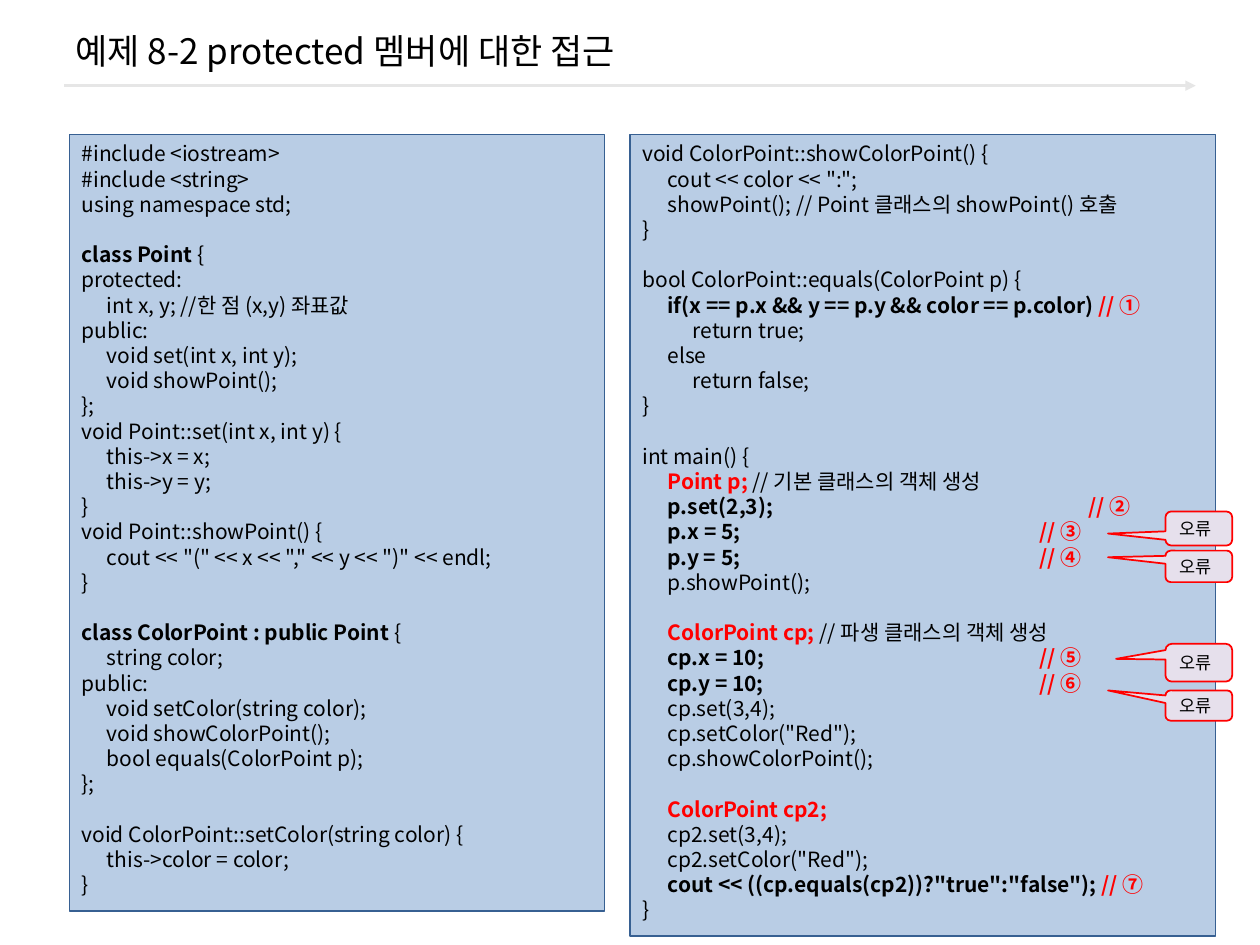
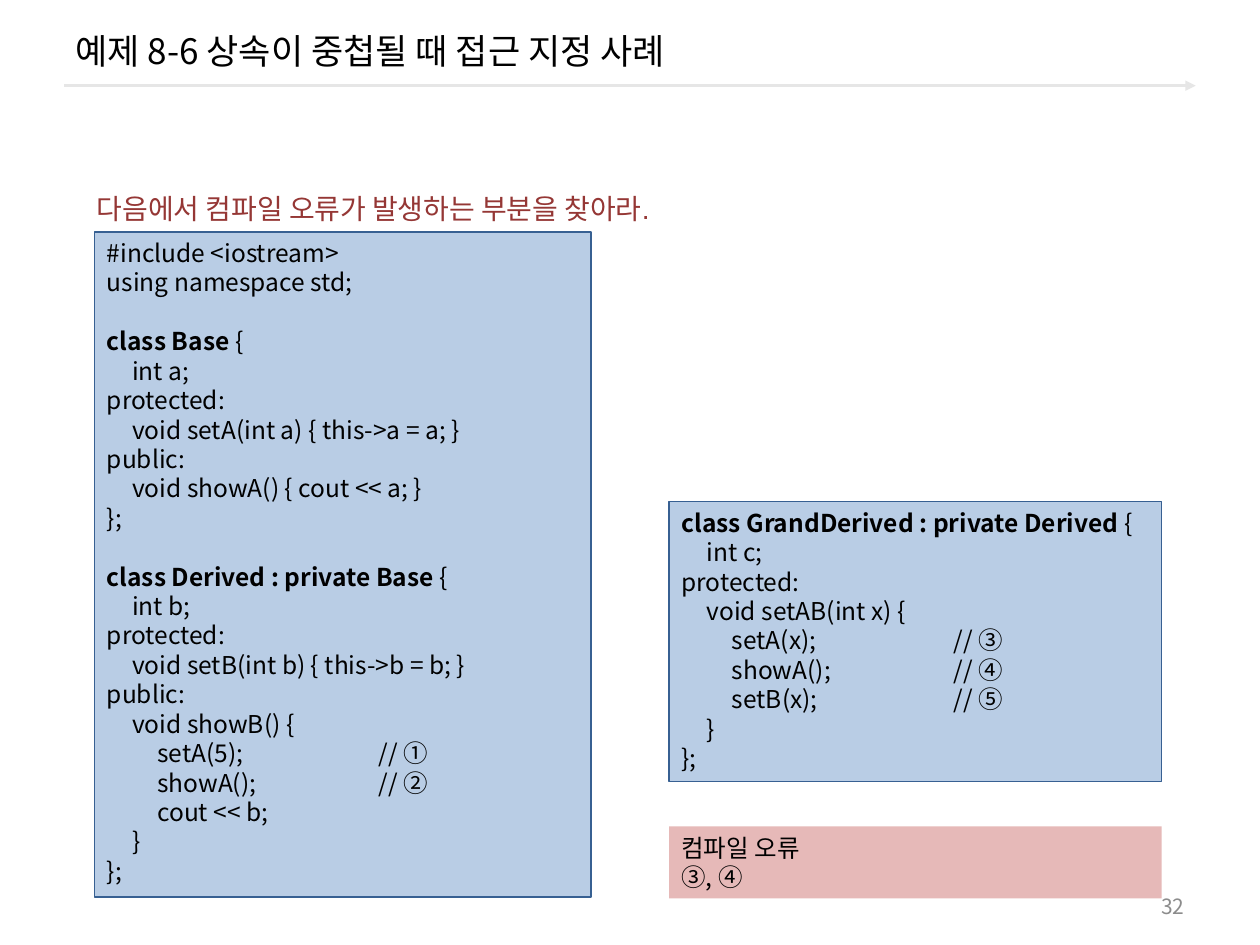
from lxml import etree
from pptx import Presentation
from pptx import util as u
from pptx.dml import color
from pptx.enum import shapes, text
from pptx.oxml import ns

FONT = "Noto Sans CJK KR"
BLACK, RED, GREY, MAROON = "000000", "FF0000", "8C8C8C", "953735"
RULE, CODE_FILL, CODE_LINE = "E6E6E6", "B9CDE5", "376092"
CALLOUT_FILL, ANSWER_FILL = "E6E0EC", "E6B9B8"
TAB = 0.2

POINT_CLASSES = [
    "#include <iostream>",
    "#include <string>",
    "using namespace std;",
    "",
    [("class Point ", "b"), ("{", "")],
    "protected:",
    "\tint x, y; //한 점 (x,y) 좌표값",
    "public:",
    "\tvoid set(int x, int y);",
    "\tvoid showPoint();",
    "};",
    "void Point::set(int x, int y) {",
    "\tthis->x = x;",
    "\tthis->y = y;",
    "}",
    "void Point::showPoint() {",
    '\tcout << "(" << x << "," << y << ")" << endl;',
    "}",
    "",
    [("class ColorPoint : public Point ", "b"), ("{", "")],
    "\tstring color;",
    "public:",
    "\tvoid setColor(string color);",
    "\tvoid showColorPoint();",
    "\tbool equals(ColorPoint p);",
    "};",
    "",
    "void ColorPoint::setColor(string color) {",
    "\tthis->color = color;",
    "}",
]

POINT_MAIN = [
    "void ColorPoint::showColorPoint() {",
    '\tcout << color << ":";',
    "\tshowPoint(); // Point 클래스의 showPoint() 호출",
    "}",
    "",
    "bool ColorPoint::equals(ColorPoint p) {",
    [("\tif(x == p.x && y == p.y && color == p.color) ", "b"), ("// ①", "r")],
    "\t\treturn true;",
    "\telse",
    "\t\treturn false;",
    "}",
    "",
    "int main() {",
    [("\tPoint p; ", "r"), ("// 기본 클래스의 객체 생성", "")],
    [("\tp.set(2,3);\t\t", "b"), ("// ②", "r")],
    [("\tp.x = 5;\t", "b"), ("// ③", "r")],
    [("\tp.y = 5;\t", "b"), ("// ④", "r")],
    "\tp.showPoint();",
    "",
    [("\tColorPoint cp; ", "r"), ("// 파생 클래스의 객체 생성", "")],
    [("\tcp.x = 10;\t", "b"), ("// ⑤", "r")],
    [("\tcp.y = 10;\t", "b"), ("// ⑥", "r")],
    "\tcp.set(3,4);",
    '\tcp.setColor("Red");',
    "\tcp.showColorPoint();",
    "",
    [("\tColorPoint cp2;", "r")],
    "\tcp2.set(3,4);",
    '\tcp2.setColor("Red");',
    [('\tcout << ((cp.equals(cp2))?"true":"false"); ', "b"), ("// ⑦", "r")],
    "}",
]

BASE_AND_DERIVED = [
    "#include <iostream>",
    "using namespace std;",
    "",
    [("class Base ", "b"), ("{", "")],
    "\tint a;",
    "protected:",
    "\tvoid setA(int a) { this->a = a; }",
    "public:",
    "\tvoid showA() { cout << a; }",
    "};",
    "",
    [("class Derived : private Base ", "b"), ("{", "")],
    "\tint b;",
    "protected:",
    "\tvoid setB(int b) { this->b = b; }",
    "public:",
    "\tvoid showB() {",
    "\t\tsetA(5);\t// ①",
    "\t\tshowA();\t// ②",
    "\t\tcout << b;",
    "\t}",
    "};",
]

GRAND_DERIVED = [
    [("class GrandDerived : private Derived ", "b"), ("{", "")],
    "\tint c;",
    "protected:",
    "\tvoid setAB(int x) {",
    "\t\tsetA(x);\t// ③",
    "\t\tshowA();\t// ④",
    "\t\tsetB(x);\t// ⑤",
    "\t}",
    "};",
]

ERROR_CALLOUTS = [
    (4.06, 0.27, -1.36, 0.15),
    (5.11, 0.3, -1.24, -0.1),
    (4.37, 0.25, -1.36, -0.29),
    (5.48, 0.24, -1.36, -0.5),
]


def rgb(value):
    return color.RGBColor.from_string(value)


def inches(values):
    return [u.Inches(v) for v in values]


def add_run(p, words, size, ink=BLACK, bold=False, font=FONT):
    r = p.add_run()
    r.text = words
    r.font.name, r.font.size, r.font.bold = font, u.Pt(size), bold
    r.font.color.rgb = rgb(ink)
    ea = etree.SubElement(r.font._element, ns.qn("a:ea"))
    ea.set("typeface", FONT)


def add_label(s, at, words, size, ink=BLACK, font=FONT, align=text.PP_ALIGN.LEFT,
              anchor=text.MSO_ANCHOR.MIDDLE):
    tf = s.shapes.add_textbox(*inches(at)).text_frame
    tf.word_wrap, tf.vertical_anchor = True, anchor
    p = tf.paragraphs[0]
    p.alignment = align
    add_run(p, words, size, ink, font=font)


def add_panel(s, at, fill, line=None, width=0.75,
              kind=shapes.MSO_SHAPE.RECTANGLE, anchor=text.MSO_ANCHOR.TOP):
    sp = s.shapes.add_shape(kind, *inches(at))
    sp.shadow.inherit = False
    sp.fill.solid()
    sp.fill.fore_color.rgb = rgb(fill)
    if line:
        sp.line.color.rgb = rgb(line)
        sp.line.width = u.Pt(width)
    else:
        sp.line.fill.background()
    sp.text_frame.word_wrap = True
    sp.text_frame.vertical_anchor = anchor
    return sp


def add_tabs(p, stops):
    tabs = etree.SubElement(p._p.get_or_add_pPr(), ns.qn("a:tabLst"))
    for stop in stops:
        etree.SubElement(tabs, ns.qn("a:tab"), pos=str(u.Inches(stop)), algn="l")


def add_lines(sp, lines, size, comment_stops=()):
    tf = sp.text_frame
    p, gap = tf.paragraphs[0], 0
    for i, line in enumerate(lines):
        if not line:
            gap = size * 1.2
            continue
        if i:
            p = tf.add_paragraph()
        p.alignment = text.PP_ALIGN.LEFT
        p.line_spacing, p.space_before = u.Pt(size * 1.2), u.Pt(gap)
        gap = 0
        if comment_stops:
            add_tabs(p, [TAB, 2 * TAB, *comment_stops])
        for words, style in [(line, "")] if isinstance(line, str) else line:
            add_run(p, words, size, RED if style == "r" else BLACK, bool(style))


def add_code(s, at, lines, size, comment_stops):
    add_lines(add_panel(s, at, CODE_FILL, CODE_LINE), lines, size, comment_stops)


def add_error_callout(s, top, height, tip_x, tip_y):
    sp = add_panel(s, (9.25, top, 0.53, height), CALLOUT_FILL, RED, 1,
                   shapes.MSO_SHAPE.ROUNDED_RECTANGULAR_CALLOUT, text.MSO_ANCHOR.MIDDLE)
    for i, value in enumerate((tip_x, tip_y, 0.17)):
        sp.adjustments[i] = value
    p = sp.text_frame.paragraphs[0]
    p.alignment = text.PP_ALIGN.LEFT
    add_run(p, "오류", 10)


def add_title_rule(s):
    rule = s.shapes.add_connector(shapes.MSO_CONNECTOR.STRAIGHT,
                                  *inches((0.51, 0.68, 9.49, 0.68)))
    rule.line.color.rgb = rgb(RULE)
    rule.line.width = u.Pt(1.5)
    etree.SubElement(rule.line._get_or_add_ln(), ns.qn("a:tailEnd"), type="triangle")
    etree.SubElement(rule._element.spPr, ns.qn("a:effectLst"))


def new_slide(prs, title):
    s = prs.slides.add_slide(prs.slide_layouts[6])
    add_title_rule(s)
    add_label(s, (0.5, 0.08, 9, 0.64), title, 20)
    return s


def build_protected_access(prs):
    s = new_slide(prs, "예제 8-2 protected 멤버에 대한 접근")
    stops = (3.15, 3.54)
    add_code(s, (0.55, 1.07, 4.25, 6.16), POINT_CLASSES, 12, stops)
    add_code(s, (5, 1.07, 4.65, 6.36), POINT_MAIN, 12, stops)
    for callout in ERROR_CALLOUTS:
        add_error_callout(s, *callout)


def build_nested_inheritance(prs):
    s = new_slide(prs, "예제 8-6 상속이 중첩될 때 접근 지정 사례")
    add_label(s, (7.17, 7.03, 2.33, 0.32), "32", 12, GREY, align=text.PP_ALIGN.RIGHT)
    add_code(s, (0.75, 1.84, 3.94, 5.28), BASE_AND_DERIVED, 14, (2.16,))
    add_code(s, (5.31, 3.98, 3.91, 2.22), GRAND_DERIVED, 14, (2.16,))
    add_label(s, (0.67, 1.47, 5.13, 0.37), "다음에서 컴파일 오류가 발생하는 부분을 찾아라.",
              16, MAROON, "Arial", anchor=text.MSO_ANCHOR.TOP)
    answer = add_panel(s, (5.31, 6.56, 3.91, 0.57), ANSWER_FILL)
    add_lines(answer, ["컴파일 오류", "③, ④"], 14)


def main():
    prs = Presentation()
    prs.slide_width, prs.slide_height = inches((10, 7.5))
    build_protected_access(prs)
    build_nested_inheritance(prs)
    prs.save("out.pptx")


if __name__ == "__main__":
    main()
